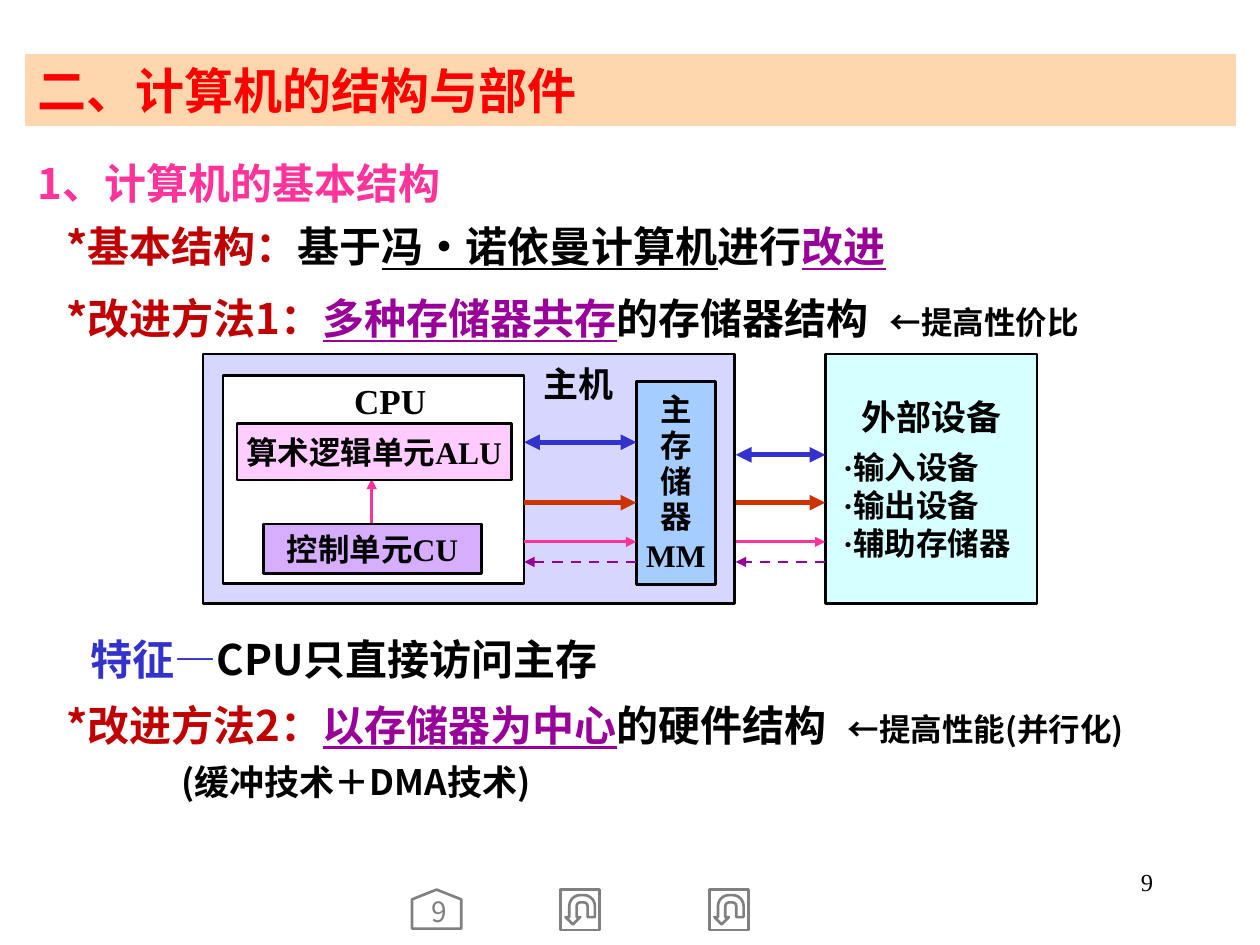
from lxml import etree
from pptx import Presentation
from pptx.dml.color import RGBColor
from pptx.enum import dml, shapes, text
from pptx.oxml.ns import qn
from pptx.util import Inches, Pt

HUE = {
    "black": "000000", "red": "FF0000", "dark": "C00000", "pink": "FF3399",
    "plum": "990099", "blue": "3333CC", "rust": "CC3300", "gray": "808080",
    "peach": "FFCC99", "lilac": "CCCCFF", "aqua": "CCFFFF", "sky": "99CCFF",
    "mauve": "CC99FF", "rose": "FFCCFF", "white": "FFFFFF",
}
RGB = {key: RGBColor.from_string(val) for key, val in HUE.items()}
SANS, SERIF = "Noto Sans CJK SC", "Times New Roman"
KIND = shapes.MSO_SHAPE
LEFT, MID, RIGHT = text.PP_ALIGN.LEFT, text.PP_ALIGN.CENTER, text.PP_ALIGN.RIGHT

deck = Presentation()
deck.slide_width, deck.slide_height = Inches(10), Inches(7.5)
slide = deck.slides.add_slide(deck.slide_layouts[5])


def write(shape, paras, face=SANS, size=24, bold=True, align=LEFT, space=1.0,
          pad=(0.1, 0.05), anchor=text.MSO_ANCHOR.TOP):
    frame = shape.text_frame
    frame.word_wrap = True
    frame.auto_size = text.MSO_AUTO_SIZE.NONE
    frame.vertical_anchor = anchor
    frame.margin_left = frame.margin_right = Inches(pad[0])
    frame.margin_top = frame.margin_bottom = Inches(pad[1])
    for n, (indent, runs) in enumerate(paras):
        para = frame.add_paragraph() if n else frame.paragraphs[0]
        para.alignment, para.line_spacing = align, space
        para.font.name, para.font.size, para.font.bold = face, Pt(size), bold
        props = para._p.get_or_add_pPr()
        if indent:
            props.set("marL", str(Inches(indent)))
        etree.SubElement(props.find(qn("a:defRPr")), qn("a:ea"), typeface=SANS)
        for words, tint, *more in runs:
            run = para.add_run()
            run.text = words
            run.font.color.rgb = RGB[tint]
            if "line" in more:
                run.font.underline = True
            for value in more:
                if value != "line":
                    run.font.size = Pt(value)
    return frame


def draw(kind, place, fill=None, line="black", alpha=80):
    shape = slide.shapes.add_shape(kind, *map(Inches, place))
    shape.shadow.inherit = False
    if fill:
        shape.fill.solid()
        shape.fill.fore_color.rgb = RGB[fill]
        if alpha < 100:
            tint = shape.fill._xPr.find(qn("a:solidFill"))[0]
            etree.SubElement(tint, qn("a:alpha"), val=str(alpha * 1000))
    else:
        shape.fill.background()
    shape.line.color.rgb = RGB[line]
    shape.line.width = Pt(1.5)
    return shape


title = slide.shapes.title
title.left, title.top, title.width, title.height = map(Inches, (0.2, 0.43, 9.61, 0.57))
title.fill.solid()
title.fill.fore_color.rgb = RGB["peach"]
tint = title.fill._xPr.find(qn("a:solidFill"))[0]
etree.SubElement(tint, qn("a:alpha"), val="80000")
write(title, [(0, [("二、计算机的结构与部件", "red")])], size=28,
      anchor=text.MSO_ANCHOR.MIDDLE)

notes = [
    ((0.2, 1.1, 9.61, 1.11), [
        (0, [("1、计算机的基本结构", "pink")]),
        (0.23, [("*基本结构：", "dark"), ("基于", "black"),
                ("冯·诺依曼计算机", "black", "line"), ("进行", "black"),
                ("改进", "plum", "line")])]),
    ((0.2, 2.17, 9.61, 0.61), [
        (0.23, [("*改进方法1：", "dark"), ("多种存储器共存", "plum", "line"),
                ("的存储器结构\u2002", "black"), ("←提高性价比", "black", 18)])]),
    ((0.16, 4.88, 9.61, 0.61), [
        (0.46, [("特征—", "blue"), ("CPU只直接访问主存", "black")])]),
    ((0.2, 5.4, 9.61, 1.03), [
        (0.23, [("*改进方法2：", "dark"), ("以存储器为中心", "plum", "line"),
                ("的硬件结构\u2002", "black"), ("←提高性能(并行化)", "black", 18)]),
        (1.14, [("(缓冲技术＋DMA技术)", "black", 20)])]),
]
for place, paras in notes:
    write(slide.shapes.add_textbox(*map(Inches, place)), paras, space=1.25)

label = dict(face=SERIF, pad=(0.02, 0.01), anchor=text.MSO_ANCHOR.MIDDLE)
draw(KIND.RECTANGLE, (1.61, 2.81, 4.22, 1.98), "lilac")
draw(KIND.RECTANGLE, (1.77, 2.98, 2.39, 1.65), "white", alpha=100)

outer = draw(KIND.RECTANGLE, (6.55, 2.81, 1.68, 1.98), "aqua")
parts = [(0.12, [("·" + name, "black")]) for name in ("输入设备", "输出设备", "辅助存储器")]
frame = write(outer, [(0, [("外部设备", "black", 20)])] + parts, size=18, **label)
frame.paragraphs[0].alignment = MID
frame.paragraphs[1].space_before = Pt(6)

store = draw(KIND.RECTANGLE, (5.05, 3.03, 0.63, 1.61), "sky")
frame = write(store, [(0, [(word, "black")]) for word in ("主", "存", "储", "器", "MM")],
              size=18, align=MID, space=0.95, **label)
frame.paragraphs[4].line_spacing = 1.0

wires = [
    (2.95, 4.16, 2.95, 3.8, "pink", 1.5, "one"),
]
for start, end in ((4.16, 5.05), (5.84, 6.55)):
    high = 3.51 if start < 5 else 3.61
    wires += [
        (start, high, end, high, "blue", 3, "both"),
        (start, 3.99, end, 3.99, "rust", 3, "one"),
        (start, 4.3, end, 4.3, "pink", 1.5, "one"),
        (end, 4.46, start, 4.46, "plum", 1.5, "dash"),
    ]
for *ends, hue, width, style in wires:
    wire = slide.shapes.add_connector(shapes.MSO_CONNECTOR.STRAIGHT, *map(Inches, ends))
    wire.line.color.rgb = RGB[hue]
    wire.line.width = Pt(width)
    if style == "dash":
        wire.line.dash_style = dml.MSO_LINE.DASH
    stroke = wire.line._get_or_add_ln()
    if style == "both":
        etree.SubElement(stroke, qn("a:headEnd"), type="triangle")
    etree.SubElement(stroke, qn("a:tailEnd"), type="triangle")
    etree.SubElement(wire._element.spPr, qn("a:effectLst"))

for place, fill, alpha, words in [
    ((2.09, 4.16, 1.73, 0.39), "mauve", 80, "控制单元CU"),
    ((1.88, 3.36, 2.18, 0.45), "rose", 100, "算术逻辑单元ALU"),
]:
    unit = draw(KIND.RECTANGLE, place, fill, alpha=alpha)
    write(unit, [(0, [(words, "black")])], size=18, align=MID, **label)

for place, words in [((2.79, 3.02, 0.71, 0.31), "CPU"), ((4.29, 2.88, 0.63, 0.32), "主机")]:
    name = slide.shapes.add_textbox(*map(Inches, place))
    write(name, [(0, [(words, "black")])], size=20, **label)

home = draw(KIND.PENTAGON, (3.31, 7.02, 0.31, 0.39), line="gray")
home.adjustments[0] = 0.25
home.rotation = 270
page = slide.shapes.add_textbox(*map(Inches, (3.31, 7.14, 0.31, 0.24)))
frame = write(page, [(0, [("9", "gray")])], size=16, bold=False, align=MID,
              space=0.85, pad=(0, 0))
frame.margin_left = Inches(0.04)
for left in (4.45, 5.63):
    draw(KIND.ACTION_BUTTON_RETURN, (left, 7.06, 0.31, 0.32), line="gray").rotation = 180

number = slide.shapes.add_textbox(*map(Inches, (7.17, 6.83, 2.08, 0.5)))
write(number, [(0, [("9", "black")])], face=SERIF, size=14, bold=False, align=RIGHT)

deck.save("out.pptx")
